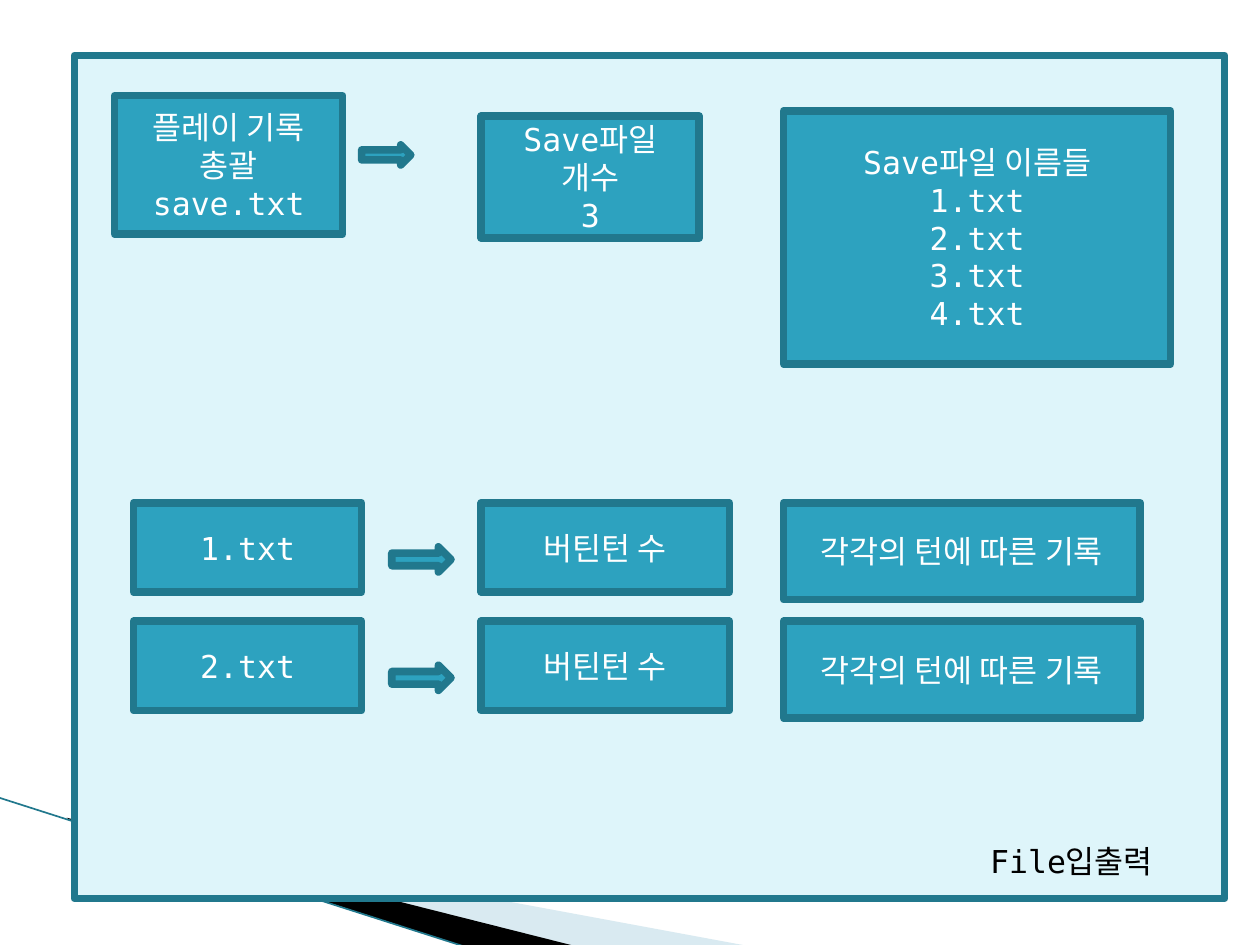
"""Build a slide that explains the save-file input and output of a game."""
from dataclasses import dataclass

from lxml import etree
from pptx import Presentation
from pptx.dml.color import RGBColor
from pptx.enum import shapes, text
from pptx.oxml import ns
from pptx.util import Inches, Pt


@dataclass(frozen=True)
class Theme:
    panel: RGBColor = RGBColor.from_string("DEF5FA")
    fill: RGBColor = RGBColor.from_string("2DA2BF")
    border: RGBColor = RGBColor.from_string("21788D")
    pale: RGBColor = RGBColor.from_string("A0CBDC")
    black: RGBColor = RGBColor.from_string("000000")
    white: RGBColor = RGBColor.from_string("FFFFFF")
    font: str = "DejaVu Sans Mono"
    size: Pt = Pt(18)
    border_width: Pt = Pt(4.33)
    hairline: Pt = Pt(0.95)


theme = Theme()


def add_block(kind, place, fill, lines=()):
    block = page.shapes.add_shape(kind, *map(Inches, place))
    block.shadow.inherit = False
    block.fill.solid()
    block.fill.fore_color.rgb = fill
    block.line.color.rgb = theme.border
    block.line.width = theme.border_width
    if lines:
        write(block.text_frame, lines, theme.white, text.PP_ALIGN.CENTER)
        block.text_frame.vertical_anchor = text.MSO_ANCHOR.MIDDLE


def write(frame, lines, color, align):
    frame.word_wrap = True
    frame.text = "\n".join(lines)
    for para in frame.paragraphs:
        para.alignment = align
        para.font.name = theme.font
        para.font.size = theme.size
        para.font.color.rgb = color


deck = Presentation()
deck.slide_width, deck.slide_height = Inches(10), Inches(7.5)
page = deck.slides.add_slide(deck.slide_layouts[6])

bands = [
    (theme.pale, [(0.55, 6.51), (5.95, 7.51), (4.56, 7.51), (0.55, 6.5)]),
    (theme.black, [(0.53, 6.49), (4.57, 7.51), (3.72, 7.52), (0.54, 6.5)]),
]
for color, corners in bands:
    points = [(Inches(x), Inches(y)) for x, y in corners]
    builder = page.shapes.build_freeform(*points[0])
    builder.add_line_segments(points[1:])
    band = builder.convert_to_shape()
    band.shadow.inherit = False
    band.fill.solid()
    band.fill.fore_color.rgb = color
    band.line.fill.background()
    if color == theme.pale:
        tint = band._element.spPr.find(".//" + ns.qn("a:srgbClr"))
        etree.SubElement(tint, ns.qn("a:alpha"), val="40000")

edge = page.shapes.add_connector(
    shapes.MSO_CONNECTOR.STRAIGHT, Inches(-0.01), Inches(6.33), Inches(3.71), Inches(7.52))
edge.line.color.rgb = theme.border
edge.line.width = theme.hairline
etree.SubElement(edge._element.spPr, ns.qn("a:effectLst"))

box = shapes.MSO_SHAPE.RECTANGLE
arrow = shapes.MSO_SHAPE.RIGHT_ARROW
add_block(box, (0.59, 0.44, 9.13, 6.69), theme.panel)

caption = page.shapes.add_textbox(Inches(7.76), Inches(6.63), Inches(1.81), Inches(0.4))
write(caption.text_frame, ["File입출력"], theme.black, text.PP_ALIGN.LEFT)

count_left, detail_left = 3.82, 6.22
add_block(box, (0.91, 0.76, 1.81, 1.1), theme.fill, ["플레이 기록 총괄 save.txt"])
add_block(arrow, (2.87, 1.15, 0.39, 0.16), theme.fill)
add_block(box, (count_left, 0.92, 1.73, 0.97), theme.fill, ["Save파일 개수", "3"])
file_names = [f"{number}.txt" for number in range(1, 5)]
add_block(box, (detail_left, 0.88, 3.07, 2.01), theme.fill, ["Save파일 이름들", *file_names])

for row, file_name in enumerate(file_names[:2]):
    top = 3.99 + 0.94 * row
    add_block(box, (1.06, top, 1.81, 0.71), theme.fill, [file_name])
    add_block(arrow, (3.11, top + 0.35, 0.47, 0.2), theme.fill)
    add_block(box, (count_left, top, 1.97, 0.71), theme.fill, ["버틴턴 수"])
    add_block(box, (detail_left, top, 2.83, 0.77), theme.fill, ["각각의 턴에 따른 기록"])

deck.save("out.pptx")
